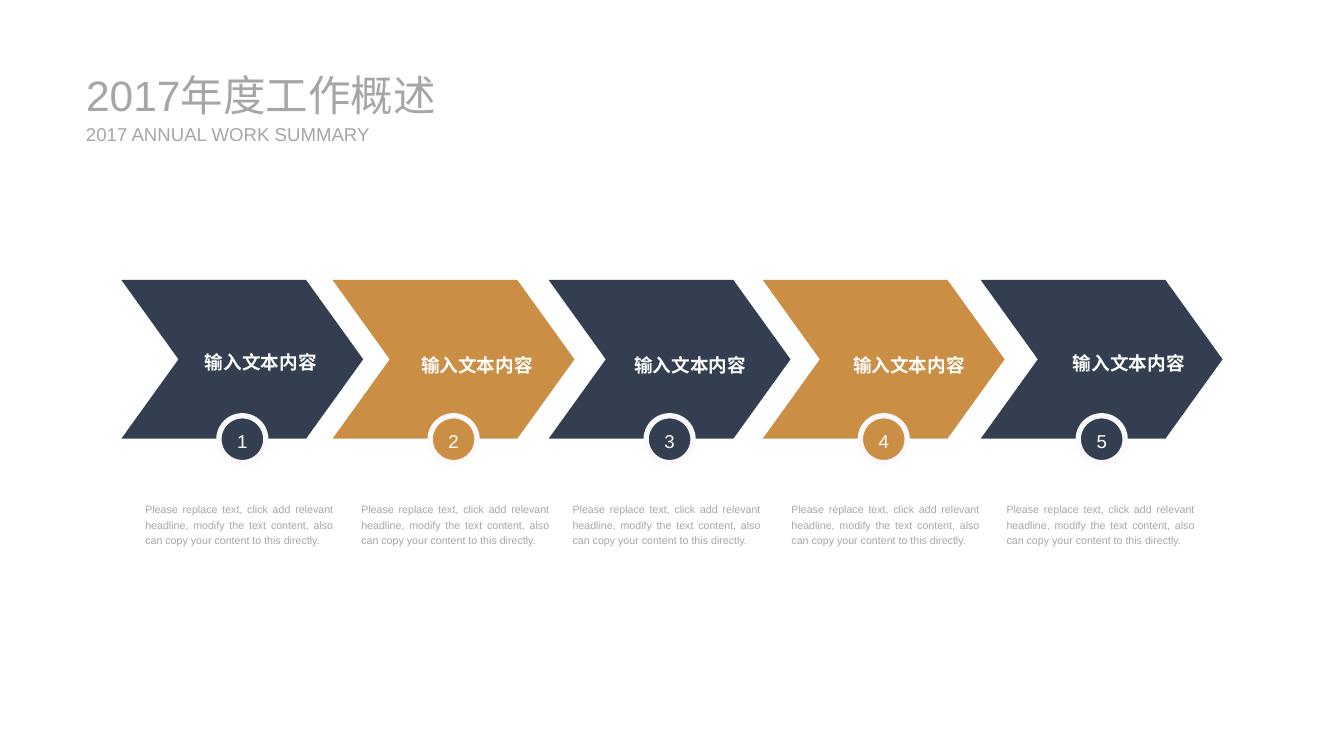
from dataclasses import dataclass

from pptx import Presentation
from pptx.dml.color import RGBColor
from pptx.enum.shapes import MSO_SHAPE
from pptx.enum.text import MSO_ANCHOR, PP_ALIGN
from pptx.util import Inches, Pt


@dataclass(frozen=True)
class Theme:
    font: str = "Arial"
    navy: str = "333F50"
    gold: str = "CA8F45"
    grey: str = "A6A6A6"
    white: str = "FFFFFF"
    ring: str = "FBF9FC"
    title: int = 32
    body: int = 14
    caption: int = 8


@dataclass(frozen=True)
class Step:
    number: int
    left: float
    label_mid: float
    label_y: float
    caption_left: float
    color: str


T = Theme()
LABEL = "输入文本内容"
CAPTION = ("Please replace text, click add relevant headline, modify the text content, "
           "also can copy your content to this directly.")
STEPS = [
    Step(1, 1.27, 2.73, 3.77, 1.52, T.navy),
    Step(2, 3.48, 4.99, 3.8, 3.78, T.gold),
    Step(3, 5.74, 7.22, 3.8, 5.99, T.navy),
    Step(4, 7.98, 9.51, 3.8, 8.28, T.gold),
    Step(5, 10.26, 11.81, 3.78, 10.53, T.navy),
]


def write(sp, text: str, size: int, color: str, align=PP_ALIGN.LEFT,
          bold: bool = False, anchor=MSO_ANCHOR.MIDDLE, spacing: float = 1.2) -> None:
    """Fill a shape with one run of styled text."""
    tf = sp.text_frame
    tf.word_wrap = True
    tf.vertical_anchor = anchor
    tf.margin_left = tf.margin_right = tf.margin_top = tf.margin_bottom = 0
    p = tf.paragraphs[0]
    p.alignment = align
    p.line_spacing = spacing
    r = p.add_run()
    r.text = text
    r.font.name = T.font
    r.font.size = Pt(size)
    r.font.bold = bold
    r.font.color.rgb = RGBColor.from_string(color)


def add_box(s, left: float, top: float, width: float, height: float):
    """Add an empty text box."""
    return s.shapes.add_textbox(Inches(left), Inches(top), Inches(width), Inches(height))


def add_solid(s, kind, left: float, top: float, width: float, height: float, color: str):
    """Add a flat filled shape without an outline."""
    sp = s.shapes.add_shape(kind, Inches(left), Inches(top), Inches(width), Inches(height))
    sp.shadow.inherit = False
    sp.fill.solid()
    sp.fill.fore_color.rgb = RGBColor.from_string(color)
    sp.line.fill.background()
    return sp


def add_step(s, step: Step) -> None:
    """Draw one chevron with its label, numbered badge and caption."""
    chevron = add_solid(s, MSO_SHAPE.CHEVRON, step.left, 2.93, 2.53, 1.66, step.color)
    chevron.adjustments[0] = 0.36

    label = add_box(s, step.label_mid - 0.85, step.label_y - 0.13, 1.7, 0.26)
    write(label, LABEL, T.body, T.white, PP_ALIGN.CENTER, bold=True)

    badge = add_solid(s, MSO_SHAPE.OVAL, step.left + 1.02, 4.35, 0.49, 0.49, step.color)
    badge.line.color.rgb = RGBColor.from_string(T.ring)
    badge.line.width = Pt(4)
    write(badge, str(step.number), T.body, T.white, PP_ALIGN.CENTER)

    caption = add_box(s, step.caption_left, 5.24, 1.97, 0.47)
    write(caption, CAPTION, T.caption, T.grey, PP_ALIGN.JUSTIFY, anchor=MSO_ANCHOR.TOP)


def main() -> None:
    """Build the slide and save it."""
    prs = Presentation()
    prs.slide_width, prs.slide_height = Inches(14.06), Inches(7.91)
    s = prs.slides.add_slide(prs.slide_layouts[6])
    for step in STEPS:
        add_step(s, step)
    write(add_box(s, 0.9, 0.72, 4.32, 0.54), "2017年度工作概述", T.title, T.grey, spacing=1.0)
    write(add_box(s, 0.9, 1.28, 3.07, 0.24), "2017 ANNUAL WORK SUMMARY", T.body, T.grey, spacing=1.0)
    prs.save("out.pptx")


if __name__ == "__main__":
    main()
